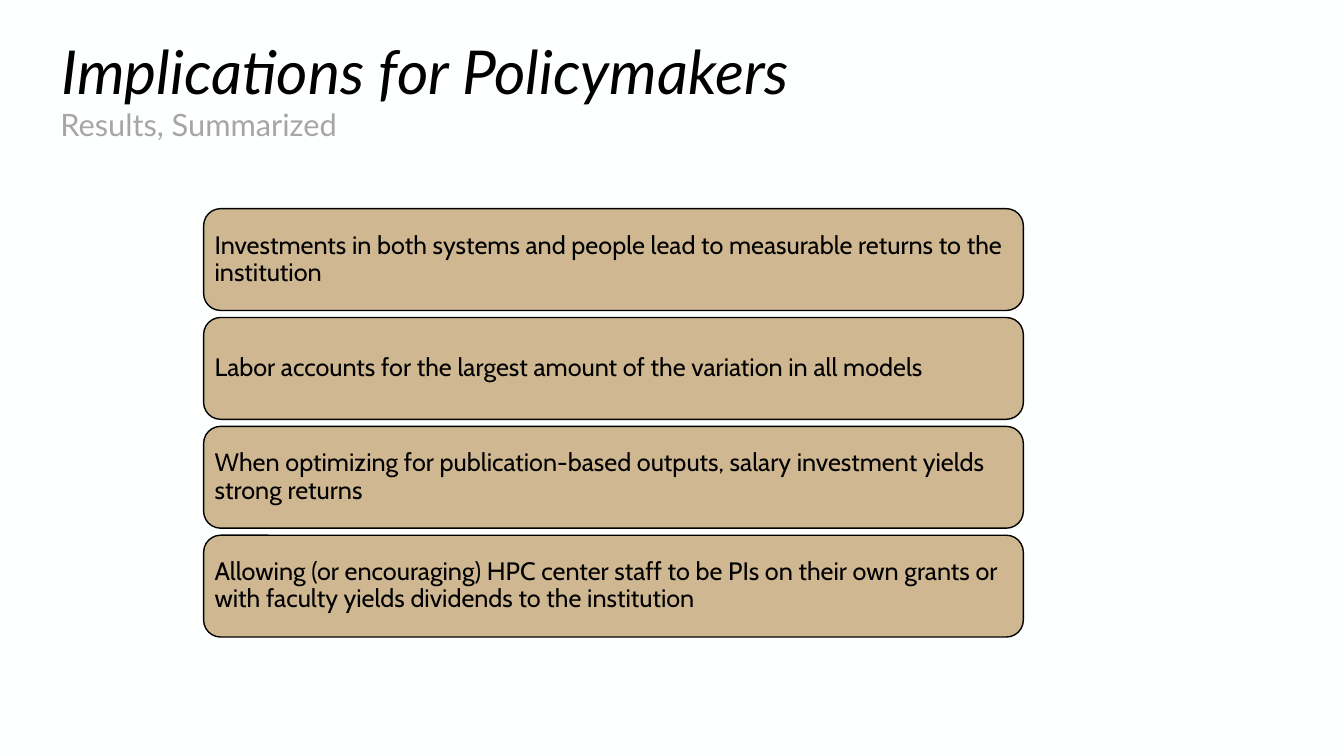
from dataclasses import dataclass

from pptx import Presentation
from pptx import util as u
from pptx.dml.color import RGBColor
from pptx.enum import shapes, text

COLOURS = {"paper": "FEFFFF", "ink": "000000", "grey": "A6A6A6", "sand": "CFB891"}
SLIDE_WIDTH, SLIDE_HEIGHT = u.Inches(13.33), u.Inches(7.5)
CARD_LEFT, CARD_WIDTH, CARD_HEIGHT = 2.02, 8.13, 1.01
FIRST_ROW, ROW_PITCH = 2.07, 1.08


@dataclass(frozen=True)
class Style:
    font: str
    size: float
    colour: str
    italic: bool = False


@dataclass(frozen=True)
class Heading:
    wording: str
    left: float
    top: float
    width: float
    height: float
    anchor: text.MSO_ANCHOR
    style: Style


HEADINGS = [
    Heading("Implications for Policymakers", 0.51, 0.42, 12.32, 0.64,
            text.MSO_ANCHOR.MIDDLE, Style("Lato", 43.2, "ink", True)),
    Heading("Results, Summarized", 0.5, 1.04, 12.33, 0.4,
            text.MSO_ANCHOR.TOP, Style("Lato", 22, "grey")),
]
IMPLICATIONS = [
    "Investments in both systems and people lead to measurable returns to the institution",
    "Labor accounts for the largest amount of the variation in all models",
    "When optimizing for publication-based outputs, salary investment yields strong returns",
    "Allowing (or encouraging) HPC center staff to be PIs on their own grants "
    "or with faculty yields dividends to the institution",
]
IMPLICATION_STYLE = Style("Cabin", 18, "ink")


def colour(name: str) -> RGBColor:
    return RGBColor.from_string(COLOURS[name])


def write(frame, wording: str, style: Style, anchor: text.MSO_ANCHOR) -> None:
    frame.word_wrap = True
    frame.vertical_anchor = anchor
    paragraph = frame.paragraphs[0]
    paragraph.alignment = text.PP_ALIGN.LEFT
    paragraph.line_spacing = 0.9
    run = paragraph.add_run()
    run.text = wording
    run.font.name = style.font
    run.font.size = u.Pt(style.size)
    run.font.italic = style.italic
    run.font.color.rgb = colour(style.colour)


def draw_heading(slide, heading: Heading) -> None:
    box = slide.shapes.add_textbox(
        u.Inches(heading.left), u.Inches(heading.top),
        u.Inches(heading.width), u.Inches(heading.height))
    write(box.text_frame, heading.wording, heading.style, heading.anchor)


def draw_implication(slide, row: int, wording: str) -> None:
    card = slide.shapes.add_shape(
        shapes.MSO_SHAPE.ROUNDED_RECTANGLE,
        u.Inches(CARD_LEFT), u.Inches(FIRST_ROW + row * ROW_PITCH),
        u.Inches(CARD_WIDTH), u.Inches(CARD_HEIGHT))
    card.shadow.inherit = False
    card.fill.solid()
    card.fill.fore_color.rgb = colour("sand")
    card.line.color.rgb = colour("ink")
    card.line.width = u.Pt(1)
    frame = card.text_frame
    frame.margin_left = frame.margin_right = u.Inches(0.06)
    frame.margin_top = frame.margin_bottom = u.Inches(0.06)
    write(frame, wording, IMPLICATION_STYLE, text.MSO_ANCHOR.MIDDLE)


def main() -> None:
    deck = Presentation()
    deck.slide_width, deck.slide_height = SLIDE_WIDTH, SLIDE_HEIGHT
    slide = deck.slides.add_slide(deck.slide_layouts[6])
    slide.background.fill.solid()
    slide.background.fill.fore_color.rgb = colour("paper")
    for heading in HEADINGS:
        draw_heading(slide, heading)
    for row, wording in enumerate(IMPLICATIONS):
        draw_implication(slide, row, wording)
    deck.save("out.pptx")


if __name__ == "__main__":
    main()
